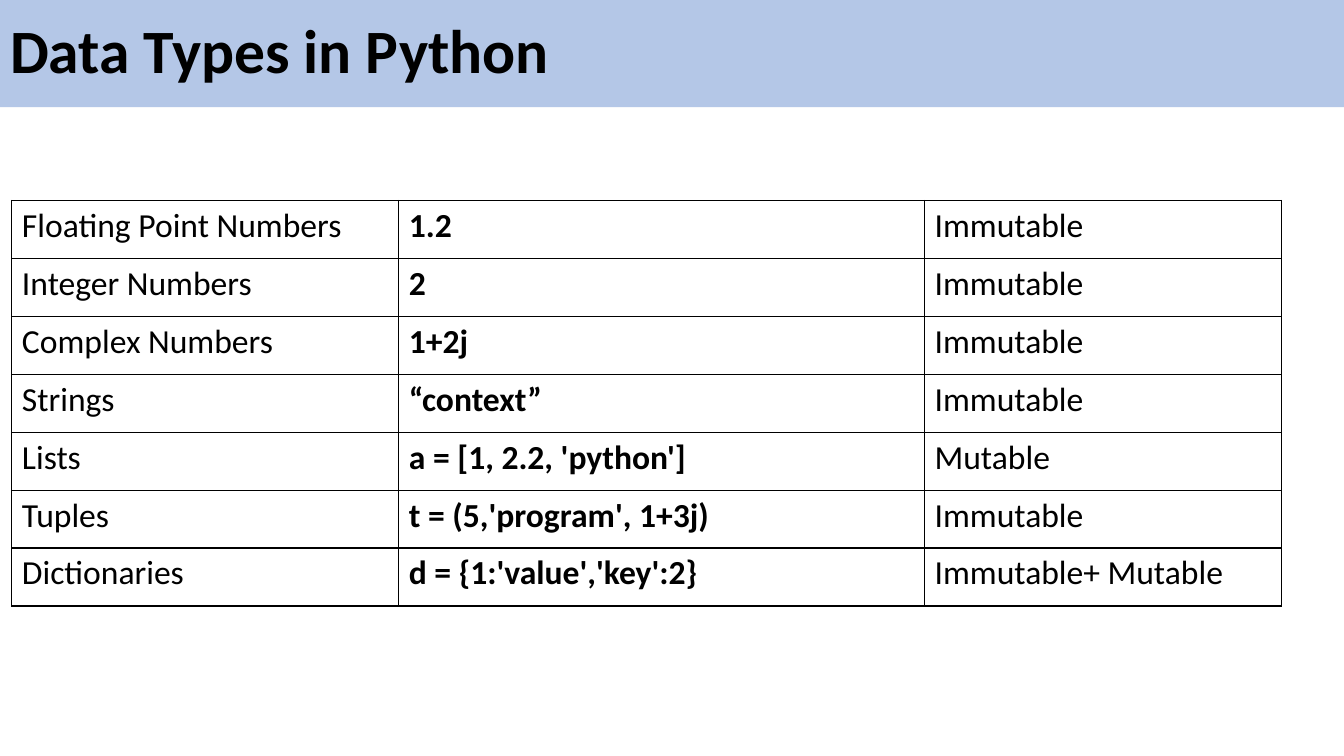
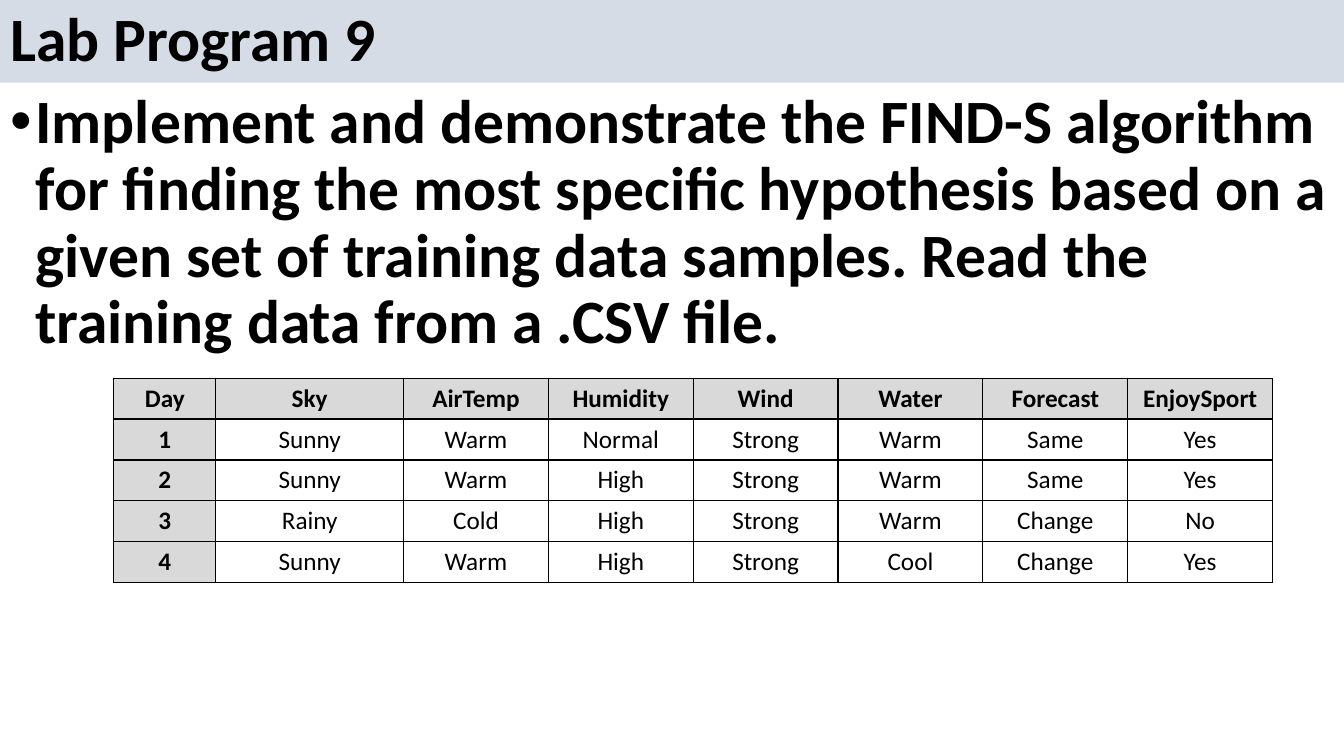
from lxml.etree import SubElement
from pptx import Presentation
from pptx.dml.color import RGBColor
from pptx.enum.text import MSO_ANCHOR as Anchor, MSO_AUTO_SIZE as AutoSize, PP_ALIGN as Align
from pptx.oxml.ns import qn
from pptx.util import Cm, Pt

WIDTH, HEIGHT = 33.87, 19.05
TITLE_ONLY, TITLE_AND_BODY = 5, 1
FONT, BLACK, HEADER_GREY = "Calibri", "000000", "D9D9D9"
HEADING_SIZE = 44


def color(hex_code):
    """Turn a hex string into a colour."""
    return RGBColor.from_string(hex_code)


class Deck:
    """Hold the shared style and the slide being filled."""

    def __init__(self):
        """Start an empty widescreen presentation."""
        self.presentation = Presentation()
        self.presentation.slide_width = Cm(WIDTH)
        self.presentation.slide_height = Cm(HEIGHT)
        self.slide = None

    def add_slide(self, layout):
        """Make a new slide the current one."""
        self.slide = self.presentation.slides.add_slide(self.presentation.slide_layouts[layout])

    def style(self, paragraph, size, bold=False, align=Align.LEFT):
        """Give a paragraph the deck's font."""
        paragraph.alignment = align
        for run in paragraph.runs:
            run.font.name = FONT
            run.font.size = Pt(size)
            run.font.bold = bold
            run.font.color.rgb = color(BLACK)

    def fill_placeholder(self, holder, text, top, height, anchor):
        """Place a full-width placeholder and return its paragraph."""
        holder.left, holder.top = Cm(0), Cm(top)
        holder.width, holder.height = Cm(WIDTH), Cm(height)
        frame = holder.text_frame
        frame.text = text
        frame.word_wrap = True
        frame.auto_size = AutoSize.NONE
        frame.vertical_anchor = anchor
        paragraph = frame.paragraphs[0]
        paragraph.line_spacing = 0.9
        paragraph.space_before = Pt(0)
        return paragraph

    def title(self, text, height, band):
        """Write the title on its coloured band."""
        holder = self.slide.shapes.title
        heading = self.fill_placeholder(holder, text, 0, height, Anchor.MIDDLE)
        holder.fill.solid()
        holder.fill.fore_color.rgb = color(band)
        self.style(heading, HEADING_SIZE, bold=True)

    def bullet(self, text, top, height):
        """Write one bold bullet in the body placeholder."""
        task = self.fill_placeholder(self.slide.placeholders[1], text, top, height, Anchor.TOP)
        properties = task._p.get_or_add_pPr()
        properties.set("marL", str(Cm(0.64)))
        properties.set("indent", str(-Cm(0.64)))
        SubElement(properties, qn("a:buFont"), typeface="Arial")
        SubElement(properties, qn("a:buChar"), char="•")
        self.style(task, HEADING_SIZE, bold=True)

    def border(self, cell):
        """Draw thin black lines around a cell."""
        properties = cell._tc.get_or_add_tcPr()
        for side in ("a:lnL", "a:lnR", "a:lnT", "a:lnB"):
            line = SubElement(properties, qn(side), w=str(Pt(1)))
            SubElement(SubElement(line, qn("a:solidFill")), qn("a:srgbClr"), val=BLACK)

    def table(self, rows, left, top, widths, row_height, size, bold_columns,
              header=False, align=Align.LEFT):
        """Draw a ruled table, with grey header row and column if asked."""
        grid = self.slide.shapes.add_table(
            len(rows), len(widths), Cm(left), Cm(top),
            Cm(sum(widths)), Cm(row_height * len(rows))).table
        grid.first_row = grid.horz_banding = False
        for column, width in zip(grid.columns, widths):
            column.width = Cm(width)
        for r, values in enumerate(rows):
            grid.rows[r].height = Cm(row_height)
            for c, value in enumerate(values):
                cell = grid.cell(r, c)
                cell.text = value
                is_header = header and (r == 0 or c == 0)
                self.style(cell.text_frame.paragraphs[0], size,
                           is_header or c in bold_columns, align)
                self.border(cell)
                if is_header:
                    cell.fill.solid()
                    cell.fill.fore_color.rgb = color(HEADER_GREY)
                else:
                    cell.fill.background()


DATA_TYPES = [
    ("Floating Point Numbers", "1.2", "Immutable"),
    ("Integer Numbers", "2", "Immutable"),
    ("Complex Numbers", "1+2j", "Immutable"),
    ("Strings", "“context”", "Immutable"),
    ("Lists", "a = [1, 2.2, 'python']", "Mutable"),
    ("Tuples", "t = (5,'program', 1+3j)", "Immutable"),
    ("Dictionaries", "d = {1:'value','key':2}", "Immutable+ Mutable"),
]

TRAINING_DATA = [
    ("Day", "Sky", "AirTemp", "Humidity", "Wind", "Water", "Forecast", "EnjoySport"),
    ("1", "Sunny", "Warm", "Normal", "Strong", "Warm", "Same", "Yes"),
    ("2", "Sunny", "Warm", "High", "Strong", "Warm", "Same", "Yes"),
    ("3", "Rainy", "Cold", "High", "Strong", "Warm", "Change", "No"),
    ("4", "Sunny", "Warm", "High", "Strong", "Cool", "Change", "Yes"),
]

TASK = ("Implement and demonstrate the FIND-S algorithm for finding the most specific "
        "hypothesis based on a given set of training data samples. "
        "Read the training data from a .CSV file.")


def main():
    """Build both slides and save them."""
    deck = Deck()

    deck.add_slide(TITLE_ONLY)
    deck.title("Data Types in Python", 2.7, "B4C7E7")
    deck.table(DATA_TYPES, 0.3, 5.05, [9.75, 13.25, 9], 1.46, 24, bold_columns={1})

    deck.add_slide(TITLE_AND_BODY)
    deck.title("Lab Program 9", 2.08, "D6DCE5")
    deck.bullet(TASK, 2.16, 6.9)
    deck.table(TRAINING_DATA, 2.87, 9.53, [2.57, 4.73] + [3.65] * 6, 1.03, 18,
               bold_columns=set(), header=True, align=Align.CENTER)

    deck.presentation.save("out.pptx")


if __name__ == "__main__":
    main()
